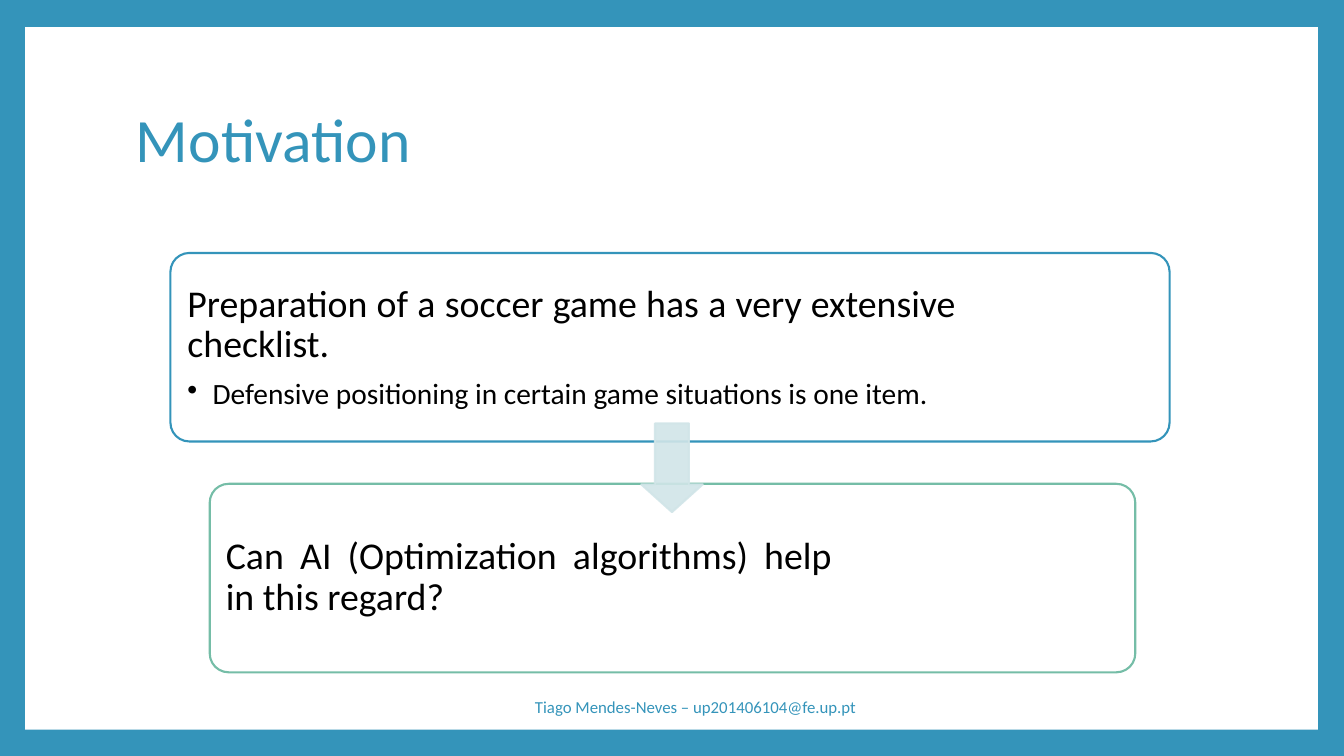
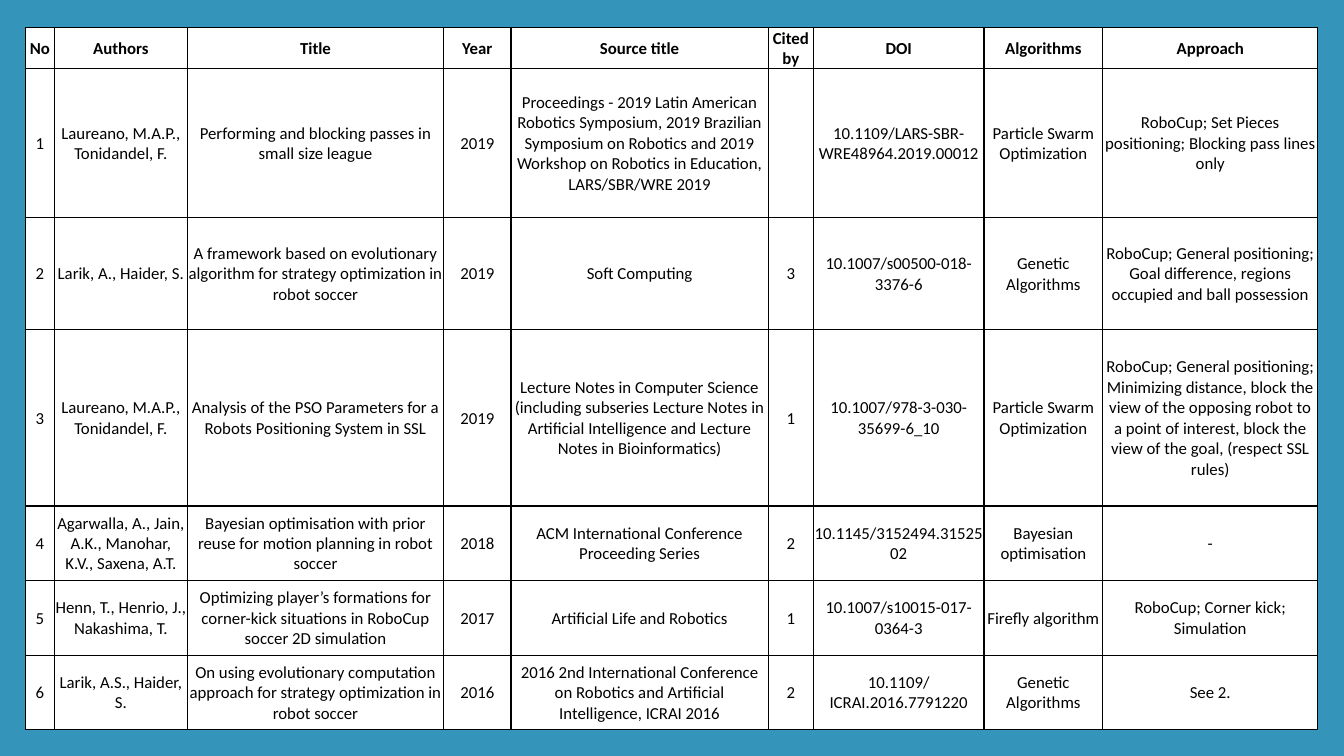
from dataclasses import dataclass

from pptx import Presentation
from pptx.dml.color import RGBColor
from pptx.enum.shapes import MSO_SHAPE
from pptx.enum.text import MSO_ANCHOR, PP_ALIGN
from pptx.oxml.ns import qn
from pptx.util import Inches, Pt
from lxml.etree import SubElement

# Shared style
FONT = "Calibri"
BLUE = RGBColor(0x34, 0x94, 0xBA)
GREEN = RGBColor(0x75, 0xBD, 0xA7)
PALE_BLUE = RGBColor(0xD1, 0xE5, 0xE8)
BLACK = RGBColor(0, 0, 0)
WHITE = RGBColor(0xFF, 0xFF, 0xFF)
FRAME_LEFT, FRAME_TOP, FRAME_WIDTH, FRAME_HEIGHT = 0.25, 0.27, 12.82, 6.97


@dataclass
class Box:
    left: float
    top: float
    width: float
    height: float

    def lengths(self):
        return [Inches(value) for value in (self.left, self.top, self.width, self.height)]


@dataclass
class Line:
    text: str
    size: float
    color: RGBColor = BLACK
    alignment: PP_ALIGN = PP_ALIGN.LEFT
    spacing: float = 1.0
    space_after: float = 0
    bullet: bool = False


@dataclass
class Card:
    outline: Box
    text_area: Box
    border: RGBColor
    lines: list[Line]


FRAME = Box(FRAME_LEFT, FRAME_TOP, FRAME_WIDTH, FRAME_HEIGHT)


# Drawing helpers
def add_panel(slide, kind: MSO_SHAPE, box: Box, fill: RGBColor, border: RGBColor | None = None):
    shape = slide.shapes.add_shape(kind, *box.lengths())
    shape.shadow.inherit = False
    shape.fill.solid()
    shape.fill.fore_color.rgb = fill
    if border is None:
        shape.line.fill.background()
    else:
        shape.line.color.rgb = border
        shape.line.width = Pt(1.5)
    return shape


def add_bullet(paragraph) -> None:
    properties = paragraph._p.get_or_add_pPr()
    properties.set("marL", str(Inches(0.25)))
    properties.set("indent", str(Inches(-0.25)))
    SubElement(properties, qn("a:buChar"), char="•")


def style_font(paragraph, size: float, color: RGBColor, bold: bool = False) -> None:
    font = paragraph.font
    font.name, font.size, font.bold = FONT, Pt(size), bold
    font.color.rgb = color


def add_text(slide, box: Box, lines: list[Line], inset: float | None = None) -> None:
    frame = slide.shapes.add_textbox(*box.lengths()).text_frame
    frame.word_wrap = True
    frame.vertical_anchor = MSO_ANCHOR.MIDDLE
    if inset is not None:
        frame.margin_left = frame.margin_right = Inches(inset)
        frame.margin_top = frame.margin_bottom = Inches(inset)
    for index, line in enumerate(lines):
        paragraph = frame.add_paragraph() if index else frame.paragraphs[0]
        paragraph.text = line.text
        paragraph.alignment = line.alignment
        paragraph.line_spacing = line.spacing
        paragraph.space_after = Pt(line.space_after)
        if line.bullet:
            add_bullet(paragraph)
        style_font(paragraph, line.size, line.color)


def add_framed_slide(presentation):
    slide = presentation.slides.add_slide(presentation.slide_layouts[6])
    slide.background.fill.solid()
    slide.background.fill.fore_color.rgb = BLUE
    add_panel(slide, MSO_SHAPE.RECTANGLE, FRAME, WHITE)
    return slide


# Motivation slide
def card_heading(text: str) -> Line:
    return Line(text, 27, alignment=PP_ALIGN.JUSTIFY, spacing=0.9, space_after=9.45)


CARDS = [
    Card(Box(1.69, 2.51, 9.91, 1.87), Box(1.75, 2.57, 7.84, 1.76), BLUE, [
        card_heading("Preparation of a soccer game has a very extensive checklist."),
        Line("Defensive positioning in certain game situations is one item.", 21,
             alignment=PP_ALIGN.JUSTIFY, spacing=0.9, space_after=3.15, bullet=True),
    ]),
    Card(Box(2.08, 4.8, 9.18, 1.87), Box(2.13, 4.85, 6.23, 1.76), GREEN, [
        card_heading("Can AI (Optimization algorithms) help in this regard?"),
    ]),
]


def build_motivation(presentation) -> None:
    slide = add_framed_slide(presentation)
    add_text(slide, Box(1.25, 0.67, 10.8, 1.48), [Line("Motivation", 44, BLUE, spacing=0.9)])
    for card in CARDS:
        panel = add_panel(slide, MSO_SHAPE.ROUNDED_RECTANGLE, card.outline, WHITE, card.border)
        panel.adjustments[0] = 0.1
        add_text(slide, card.text_area, card.lines, 0.11)

    # Translucent arrow between the cards
    arrow = add_panel(slide, MSO_SHAPE.DOWN_ARROW, Box(6.36, 4.2, 0.61, 0.88),
                      PALE_BLUE, PALE_BLUE)
    arrow.adjustments[0], arrow.adjustments[1] = 0.55, 0.45
    for color in arrow._element.spPr.iter(qn("a:srgbClr")):
        SubElement(color, qn("a:alpha"), val="90000")

    # Footer
    add_text(slide, Box(4.32, 6.81, 5.16, 0.4), [
        Line("Tiago Mendes-Neves – up201406104@fe.up.pt", 12, BLUE, PP_ALIGN.CENTER)])


# Literature slide
COLUMN_WIDTHS = [0.29, 1.32, 2.54, 0.67, 2.55, 0.45, 1.69, 1.18, 2.13]
ROW_HEIGHTS = [0.41, 1.48, 1.11, 1.75, 0.74, 0.74, 0.74]
LITERATURE = [
    ("No", "Authors", "Title", "Year", "Source title", "Cited by", "DOI", "Algorithms",
     "Approach"),
    ("1", "Laureano, M.A.P., Tonidandel, F.",
     "Performing and blocking passes in small size league", "2019",
     "Proceedings - 2019 Latin American Robotics Symposium, 2019 Brazilian Symposium on "
     "Robotics and 2019 Workshop on Robotics in Education, LARS/SBR/WRE 2019",
     "", "10.1109/LARS-SBR-WRE48964.2019.00012", "Particle Swarm Optimization",
     "RoboCup; Set Pieces positioning; Blocking pass lines only"),
    ("2", "Larik, A., Haider, S.",
     "A framework based on evolutionary algorithm for strategy optimization in robot soccer",
     "2019", "Soft Computing", "3", "10.1007/s00500-018-3376-6", "Genetic Algorithms",
     "RoboCup; General positioning; Goal difference, regions occupied and ball possession"),
    ("3", "Laureano, M.A.P., Tonidandel, F.",
     "Analysis of the PSO Parameters for a Robots Positioning System in SSL", "2019",
     "Lecture Notes in Computer Science (including subseries Lecture Notes in Artificial "
     "Intelligence and Lecture Notes in Bioinformatics)",
     "1", "10.1007/978-3-030-35699-6_10", "Particle Swarm Optimization",
     "RoboCup; General positioning; Minimizing distance, block the view of the opposing "
     "robot to a point of interest, block the view of the goal, (respect SSL rules)"),
    ("4", "Agarwalla, A., Jain, A.K., Manohar, K.V., Saxena, A.T.",
     "Bayesian optimisation with prior reuse for motion planning in robot soccer", "2018",
     "ACM International Conference Proceeding Series", "2", "10.1145/3152494.3152502",
     "Bayesian optimisation", "-"),
    ("5", "Henn, T., Henrio, J., Nakashima, T.",
     "Optimizing player’s formations for corner-kick situations in RoboCup soccer 2D "
     "simulation", "2017", "Artificial Life and Robotics", "1",
     "10.1007/s10015-017-0364-3", "Firefly algorithm", "RoboCup; Corner kick; Simulation"),
    ("6", "Larik, A.S., Haider, S.",
     "On using evolutionary computation approach for strategy optimization in robot soccer",
     "2016",
     "2016 2nd International Conference on Robotics and Artificial Intelligence, ICRAI 2016",
     "2", "10.1109/ICRAI.2016.7791220", "Genetic Algorithms", "See 2."),
]


def add_borders(cell) -> None:
    properties = cell._tc.get_or_add_tcPr()
    for side in ("lnL", "lnR", "lnT", "lnB"):
        border = SubElement(properties, qn(f"a:{side}"), w=str(Pt(1)))
        fill = SubElement(border, qn("a:solidFill"))
        SubElement(fill, qn("a:srgbClr"), val=str(BLACK))


def fill_cell(cell, text: str, bold: bool) -> None:
    cell.vertical_anchor = MSO_ANCHOR.MIDDLE
    cell.margin_left = cell.margin_right = cell.margin_top = Inches(0.01)
    cell.margin_bottom = Inches(0)
    add_borders(cell)
    cell.fill.background()
    paragraph = cell.text_frame.paragraphs[0]
    paragraph.text = text
    paragraph.alignment = PP_ALIGN.CENTER
    style_font(paragraph, 12, BLACK, bold)


def build_literature(presentation) -> None:
    slide = add_framed_slide(presentation)
    table = slide.shapes.add_table(len(ROW_HEIGHTS), len(COLUMN_WIDTHS), *FRAME.lengths()).table
    table.first_row = table.horz_banding = False
    for column, width in zip(table.columns, COLUMN_WIDTHS):
        column.width = Inches(width)
    for row_index, (row, height) in enumerate(zip(table.rows, ROW_HEIGHTS)):
        row.height = Inches(height)
        for cell, text in zip(row.cells, LITERATURE[row_index]):
            fill_cell(cell, text, bold=row_index == 0)


def main() -> None:
    presentation = Presentation()
    presentation.slide_width, presentation.slide_height = Inches(13.33), Inches(7.5)
    build_motivation(presentation)
    build_literature(presentation)
    presentation.save("out.pptx")


if __name__ == "__main__":
    main()
